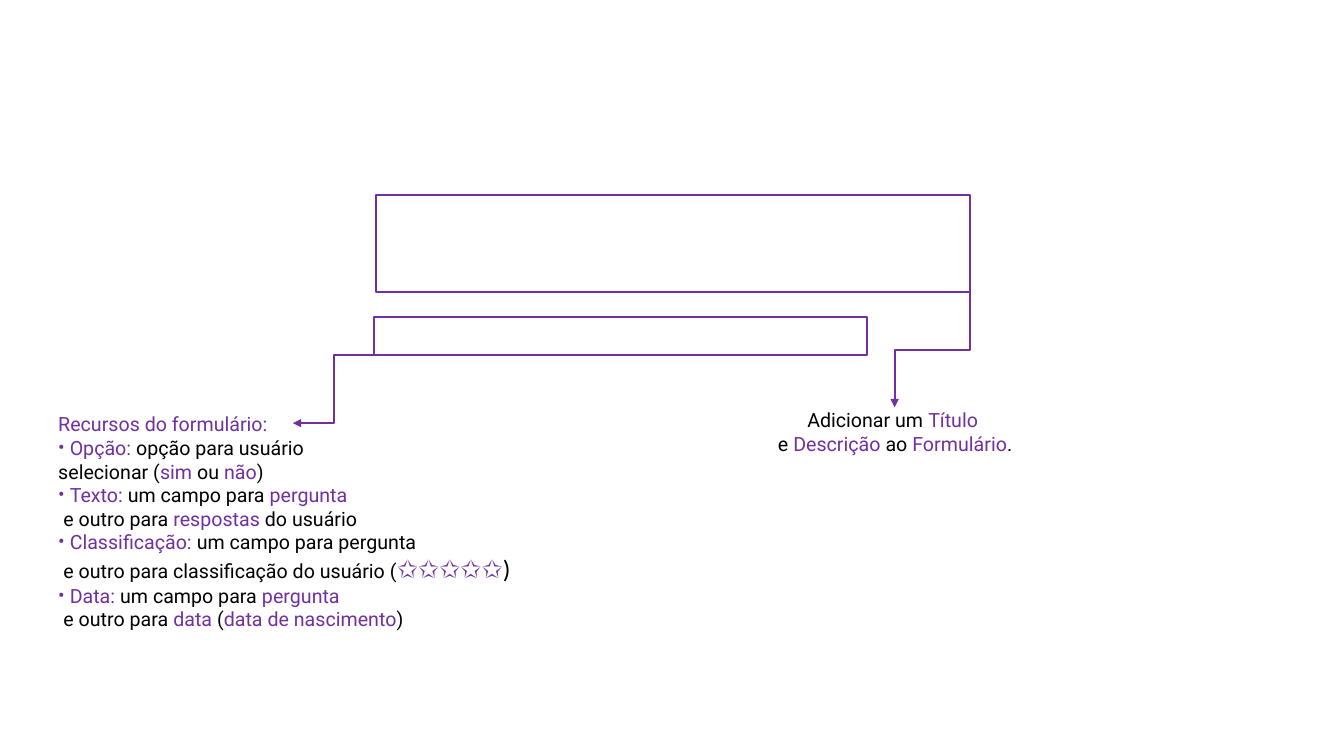
from lxml.etree import SubElement
from pptx import Presentation
from pptx.dml.color import RGBColor
from pptx.enum.shapes import MSO_CONNECTOR, MSO_SHAPE
from pptx.enum.text import MSO_AUTO_SIZE, PP_ALIGN
from pptx.oxml.ns import qn
from pptx.util import Emu, Pt

PURPLE = "7030A0"
BLACK = "000000"
BULLET_INDENT = 11

# Asterisks enclose the purple words; each line is (kind, text).
CAPTION = [
    ("plain", "Adicionar um *Título *"),
    ("plain", "e *Descrição* ao *Formulário*."),
]
RESOURCES = [
    ("plain", "*Recursos do formulário:*"),
    ("bullet", "*Opção: *opção para usuário"),
    ("plain", "selecionar (*sim *ou *não*)"),
    ("bullet", "*Texto: *um campo para *pergunta*"),
    ("indented", "e outro para *respostas* do usuário"),
    ("bullet", "*Classificação: *um campo para pergunta"),
    ("indented", "e outro para classificação do usuário (*✩✩✩✩✩*)"),
    ("bullet", "*Data: *um campo para *pergunta*"),
    ("indented", "e outro para *data *(*data de nascimento*)"),
]
LEFT_MARGINS = {"plain": 0, "indented": 5, "bullet": BULLET_INDENT}


def px(n):
    return Emu(n * 9525)


def rgb(color):
    return RGBColor.from_string(color)


def set_line(shape):
    shape.line.color.rgb = rgb(PURPLE)
    shape.line.width = Pt(1.5)


def add_frame(s, x, y, w, h):
    frame = s.shapes.add_shape(MSO_SHAPE.RECTANGLE, px(x), px(y), px(w), px(h))
    frame.shadow.inherit = False
    frame.fill.background()
    set_line(frame)


def add_elbow_arrow(s, x1, y1, x2, y2, vertical=False):
    """Draw a bent arrow; a vertical one leaves downwards and ends lower left."""
    arrow = s.shapes.add_connector(MSO_CONNECTOR.ELBOW, px(x1), px(y1), px(x2), px(y2))
    set_line(arrow)
    sp_pr = arrow._element.spPr
    if vertical:
        w, h = y2 - y1, x1 - x2
        arrow.left, arrow.top = px((x1 + x2 - w) // 2), px((y1 + y2 - h) // 2)
        arrow.width, arrow.height = px(w), px(h)
        sp_pr.xfrm.attrib.pop("flipH", None)
        sp_pr.xfrm.set("rot", str(90 * 60000))
    SubElement(sp_pr.find(qn("a:ln")), qn("a:tailEnd"), type="triangle")
    SubElement(sp_pr, qn("a:effectLst"))


def set_indent(p, kind):
    p_pr = p._p.get_or_add_pPr()
    p_pr.set("marL", str(px(LEFT_MARGINS[kind])))
    if kind == "bullet":
        p_pr.set("indent", str(-px(BULLET_INDENT)))
        SubElement(SubElement(p_pr, qn("a:buClr")), qn("a:srgbClr"), val=PURPLE)
        SubElement(p_pr, qn("a:buFont"), typeface="Roboto")
        SubElement(p_pr, qn("a:buChar"), char="•")


def add_text(s, x, y, w, h, lines, align=PP_ALIGN.LEFT):
    tf = s.shapes.add_textbox(px(x), px(y), px(w), px(h)).text_frame
    tf.word_wrap = False
    tf.auto_size = MSO_AUTO_SIZE.SHAPE_TO_FIT_TEXT
    for i, (kind, text) in enumerate(lines):
        p = tf.paragraphs[0] if i == 0 else tf.add_paragraph()
        p.alignment = align
        set_indent(p, kind)
        for j, part in enumerate(text.split("*")):
            if part:
                r = p.add_run()
                r.text = part
                r.font.name = "Roboto"
                r.font.size = Pt(14)
                r.font.color.rgb = rgb(PURPLE if j % 2 else BLACK)
    return tf


def main():
    prs = Presentation()
    prs.slide_width, prs.slide_height = px(1280), px(720)
    s = prs.slides.add_slide(prs.slide_layouts[6])

    add_frame(s, 358, 186, 566, 92)
    add_text(s, 727, 384, 251, 55, CAPTION, PP_ALIGN.CENTER)
    add_frame(s, 356, 302, 470, 36)

    tf = add_text(s, 46, 388, 452, 242, RESOURCES)
    stars, closing = tf.paragraphs[6].runs[-2:]
    stars.font.size = closing.font.size = Pt(18)
    closing.font.name = "Calibri"

    add_elbow_arrow(s, 358, 338, 279, 403)
    add_elbow_arrow(s, 924, 278, 852, 388, vertical=True)

    prs.save("out.pptx")


if __name__ == "__main__":
    main()
